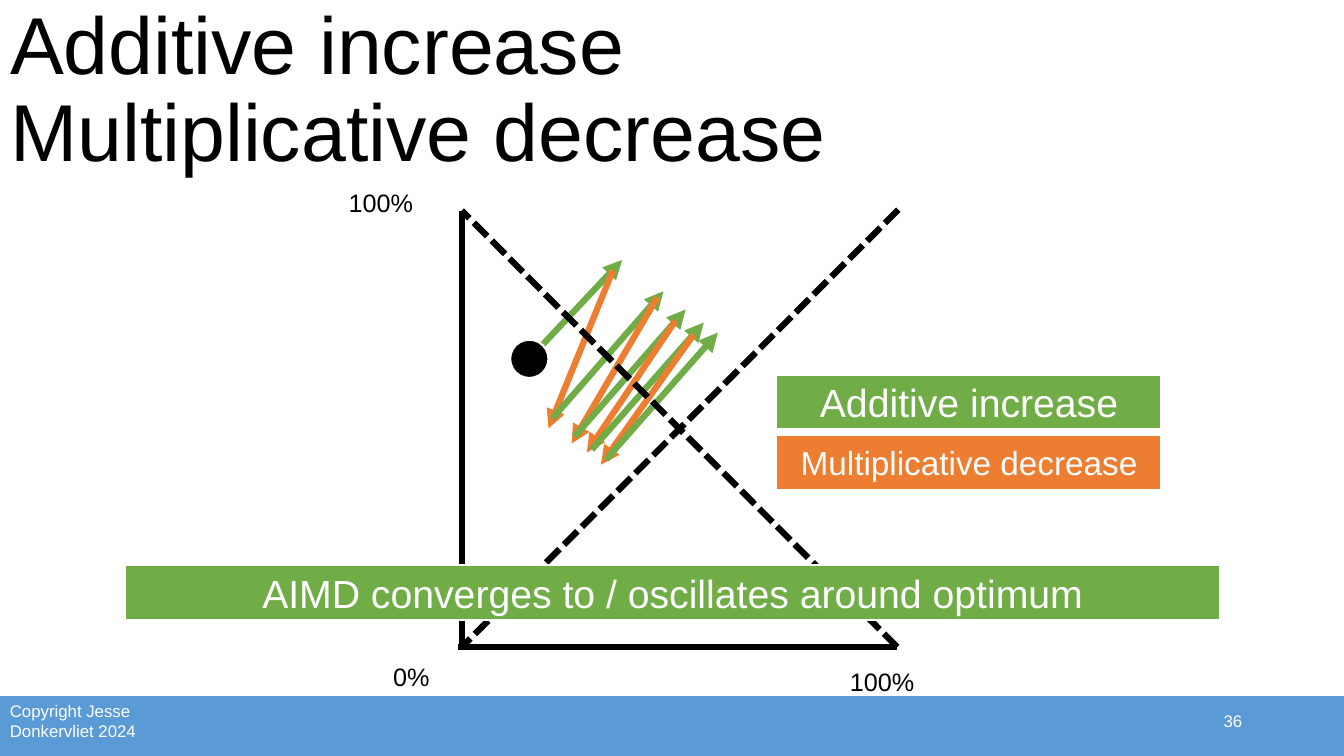
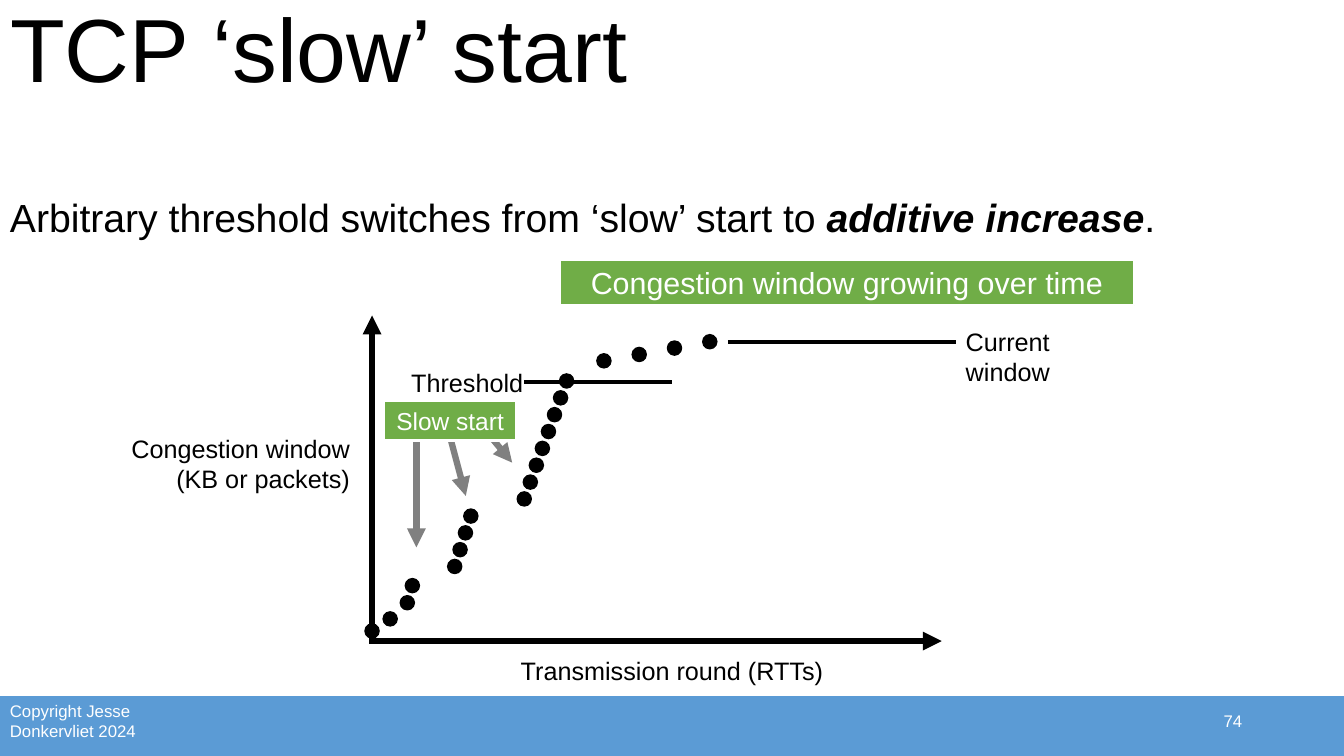
from dataclasses import dataclass

from lxml import etree
from pptx import Presentation
from pptx.dml.color import RGBColor
from pptx.enum.dml import MSO_LINE
from pptx.enum.shapes import MSO_CONNECTOR, MSO_SHAPE
from pptx.enum.text import MSO_ANCHOR, MSO_AUTO_SIZE, PP_ALIGN
from pptx.oxml.ns import qn
from pptx.util import Inches, Pt

BLACK = RGBColor(0x00, 0x00, 0x00)
WHITE = RGBColor(0xFF, 0xFF, 0xFF)
BLUE = RGBColor(0x5B, 0x9B, 0xD5)
GREEN = RGBColor(0x70, 0xAD, 0x47)
ORANGE = RGBColor(0xED, 0x7D, 0x31)
GRAY = RGBColor(0x80, 0x80, 0x80)
FONT = "Arial"
DOT_SIZE = 0.14

Point = tuple[float, float]
Box = tuple[float, float, float, float]


@dataclass(frozen=True)
class Stroke:
    """A straight line, optionally dashed or ending in an arrowhead."""
    start: Point
    end: Point
    color: RGBColor = BLACK
    width: float = 4.5
    dashed: bool = False
    arrow: bool = False


@dataclass(frozen=True)
class Label:
    """Plain text in a box; each line is a paragraph."""
    box: Box
    lines: tuple[str, ...]
    size: float = 18
    color: RGBColor = BLACK
    align: PP_ALIGN = PP_ALIGN.LEFT
    anchor: MSO_ANCHOR = MSO_ANCHOR.TOP


@dataclass(frozen=True)
class Banner:
    """A filled rectangle with centred white text."""
    box: Box
    text: str
    size: float
    fill: RGBColor = GREEN


@dataclass(frozen=True)
class DotRun:
    """Evenly spaced dots between two top-left corners."""
    first: Point
    last: Point
    count: int


def style_text(frame, size: float, color: RGBColor, align: PP_ALIGN,
               anchor: MSO_ANCHOR) -> None:
    """Format all the text of a frame."""
    frame.word_wrap = True
    frame.auto_size = MSO_AUTO_SIZE.NONE
    frame.vertical_anchor = anchor
    for paragraph in frame.paragraphs:
        paragraph.alignment = align
        for run in paragraph.runs:
            run.font.name = FONT
            run.font.size = Pt(size)
            run.font.color.rgb = color


def draw_shape(slide, kind: MSO_SHAPE, box: Box, fill: RGBColor,
               outline: RGBColor, width: float):
    """Add a flat preset shape."""
    shape = slide.shapes.add_shape(kind, *map(Inches, box))
    shape.shadow.inherit = False
    shape.fill.solid()
    shape.fill.fore_color.rgb = fill
    shape.line.color.rgb = outline
    shape.line.width = Pt(width)
    return shape


def draw_banner(slide, banner: Banner) -> None:
    """Add a banner."""
    shape = draw_shape(slide, MSO_SHAPE.RECTANGLE, banner.box, banner.fill, WHITE, 1.5)
    shape.text_frame.text = banner.text
    style_text(shape.text_frame, banner.size, WHITE, PP_ALIGN.CENTER, MSO_ANCHOR.MIDDLE)


def draw_label(slide, label: Label) -> None:
    """Add a text box."""
    frame = slide.shapes.add_textbox(*map(Inches, label.box)).text_frame
    frame.text = "\n".join(label.lines)
    style_text(frame, label.size, label.color, label.align, label.anchor)


def draw_stroke(slide, stroke: Stroke) -> None:
    """Add a line or arrow."""
    connector = slide.shapes.add_connector(
        MSO_CONNECTOR.STRAIGHT, *map(Inches, stroke.start + stroke.end))
    line = connector.line
    line.color.rgb = stroke.color
    line.width = Pt(stroke.width)
    if stroke.dashed:
        line.dash_style = MSO_LINE.SQUARE_DOT
    properties = connector.element.spPr
    if stroke.arrow:
        etree.SubElement(properties.find(qn("a:ln")), qn("a:tailEnd"), type="triangle")
    etree.SubElement(properties, qn("a:effectLst"))


def draw_dots(slide, run: DotRun) -> None:
    """Add a run of data points."""
    for step in range(run.count):
        share = step / (run.count - 1)
        x, y = (a + (b - a) * share for a, b in zip(run.first, run.last))
        draw_shape(slide, MSO_SHAPE.OVAL, (x, y, DOT_SIZE, DOT_SIZE), BLACK, BLACK, 1)


def new_slide(deck, title: str, title_size: float, number: int):
    """Add a slide with title, footer band, copyright and number."""
    slide = deck.slides.add_slide(deck.slide_layouts[5])
    holder = slide.shapes.title
    holder.left, holder.top, holder.width, holder.height = map(Inches, (0, 0, 13.08, 1.45))
    holder.text_frame.text = title
    style_text(holder.text_frame, title_size, BLACK, PP_ALIGN.LEFT, MSO_ANCHOR.TOP)
    holder.text_frame.paragraphs[0].line_spacing = 0.9
    draw_shape(slide, MSO_SHAPE.RECTANGLE, (-0.31, 6.89, 13.95, 0.81), BLUE, WHITE, 1.5)
    draw_label(slide, Label((0, 6.9, 1.47, 0.5), ("Copyright Jesse Donkervliet 2024",),
                            12, WHITE, anchor=MSO_ANCHOR.MIDDLE))
    draw_label(slide, Label((9.42, 6.95, 3, 0.4), (str(number),), 12, WHITE,
                            PP_ALIGN.RIGHT, MSO_ANCHOR.MIDDLE))
    return slide


def build_aimd(deck) -> None:
    """Build the slide on additive increase, multiplicative decrease."""
    slide = new_slide(deck, "Additive increase\vMultiplicative decrease", 57.6, 36)
    path = [
        ((5.25, 3.56), (6.17, 2.58)), ((6.08, 2.68), (5.44, 4.25)),
        ((5.48, 4.15), (6.58, 2.89)), ((6.52, 2.95), (5.67, 4.4)),
        ((5.7, 4.33), (6.8, 3.07)), ((6.7, 3.18), (5.82, 4.49)),
        ((5.87, 4.46), (6.98, 3.2)), ((6.88, 3.32), (5.96, 4.61)),
        ((6.01, 4.56), (7.12, 3.3)),
    ]
    for index, (start, end) in enumerate(path):
        draw_stroke(slide, Stroke(start, end, ORANGE if index % 2 else GREEN, arrow=True))
    for axis in (
        Stroke((8.9, 6.42), (4.58, 2.09), dashed=True),
        Stroke((8.91, 2.08), (4.59, 6.41), dashed=True),
        Stroke((4.58, 6.45), (4.58, 2.09)),
        Stroke((4.54, 6.42), (8.9, 6.42)),
    ):
        draw_stroke(slide, axis)
    for label in (
        Label((3.8, 6.51, 0.82, 0.4), ("0%",)),
        Label((8.33, 6.56, 1.13, 0.4), ("100%",)),
        Label((3.36, 1.81, 1.13, 0.4), ("100%",)),
    ):
        draw_label(slide, label)
    draw_shape(slide, MSO_SHAPE.OVAL, (5.06, 3.37, 0.38, 0.38), BLACK, WHITE, 1.5)
    for banner in (
        Banner((7.7, 3.72, 3.82, 0.54), "Additive increase", 28),
        Banner((7.7, 4.32, 3.82, 0.54), "Multiplicative decrease", 23.8, ORANGE),
        Banner((1.24, 5.61, 10.86, 0.54), "AIMD converges to / oscillates around optimum", 28),
    ):
        draw_banner(slide, banner)


def draw_statement(slide) -> None:
    """Add the sentence with its emphasised ending."""
    frame = slide.shapes.add_textbox(*map(Inches, (0, 1.92, 13.08, 4.96))).text_frame
    paragraph = frame.paragraphs[0]
    paragraph.line_spacing = 0.9
    for text, strong in (
        ("Arbitrary threshold switches from ‘slow’ start to ", False),
        ("additive increase", True),
        (".", False),
    ):
        run = paragraph.add_run()
        run.text = text
        run.font.bold = run.font.italic = strong
    style_text(frame, 28, BLACK, PP_ALIGN.LEFT, MSO_ANCHOR.TOP)


def build_slow_start(deck) -> None:
    """Build the slide on TCP slow start."""
    slide = new_slide(deck, "TCP ‘slow’ start", 64, 74)
    draw_statement(slide)
    for stroke in (
        Stroke((3.69, 6.38), (3.69, 3.13), arrow=True),
        Stroke((3.66, 6.36), (9.34, 6.36), arrow=True),
        Stroke((4.74, 4.18), (5.08, 4.59), GRAY, arrow=True),
        Stroke((4.13, 4.17), (4.13, 5.43), GRAY, arrow=True),
        Stroke((4.42, 4.17), (4.62, 4.92), GRAY, arrow=True),
        Stroke((5.2, 3.79), (6.67, 3.79), width=3),
        Stroke((7.22, 3.39), (9.48, 3.39), width=3),
    ):
        draw_stroke(slide, stroke)
    for run in (
        DotRun((3.62, 6.19), (3.8, 6.07), 2),
        DotRun((3.97, 5.91), (4.02, 5.74), 2),
        DotRun((4.44, 5.55), (4.6, 5.05), 4),
        DotRun((5.13, 4.88), (5.55, 3.71), 8),
        DotRun((5.92, 3.51), (6.97, 3.32), 4),
    ):
        draw_dots(slide, run)
    for banner in (
        Banner((5.55, 2.58, 5.7, 0.45), "Congestion window growing over time", 21.7),
        Banner((3.81, 3.98, 1.31, 0.39), "Slow start", 17.5),
    ):
        draw_banner(slide, banner)
    for label in (
        Label((1.14, 4.25, 2.43, 0.71), ("Congestion window", "(KB or packets)"),
              align=PP_ALIGN.RIGHT),
        Label((4.66, 6.45, 4.01, 0.4), ("Transmission round (RTTs)",),
              align=PP_ALIGN.CENTER),
        Label((3.98, 3.59, 1.32, 0.4), ("Threshold",)),
        Label((9.48, 3.19, 1.91, 0.4), ("Current window",)),
    ):
        draw_label(slide, label)


def main() -> None:
    """Build and save the deck."""
    deck = Presentation()
    deck.slide_width, deck.slide_height = Inches(13.33), Inches(7.5)
    build_aimd(deck)
    build_slow_start(deck)
    deck.save("out.pptx")


main()
